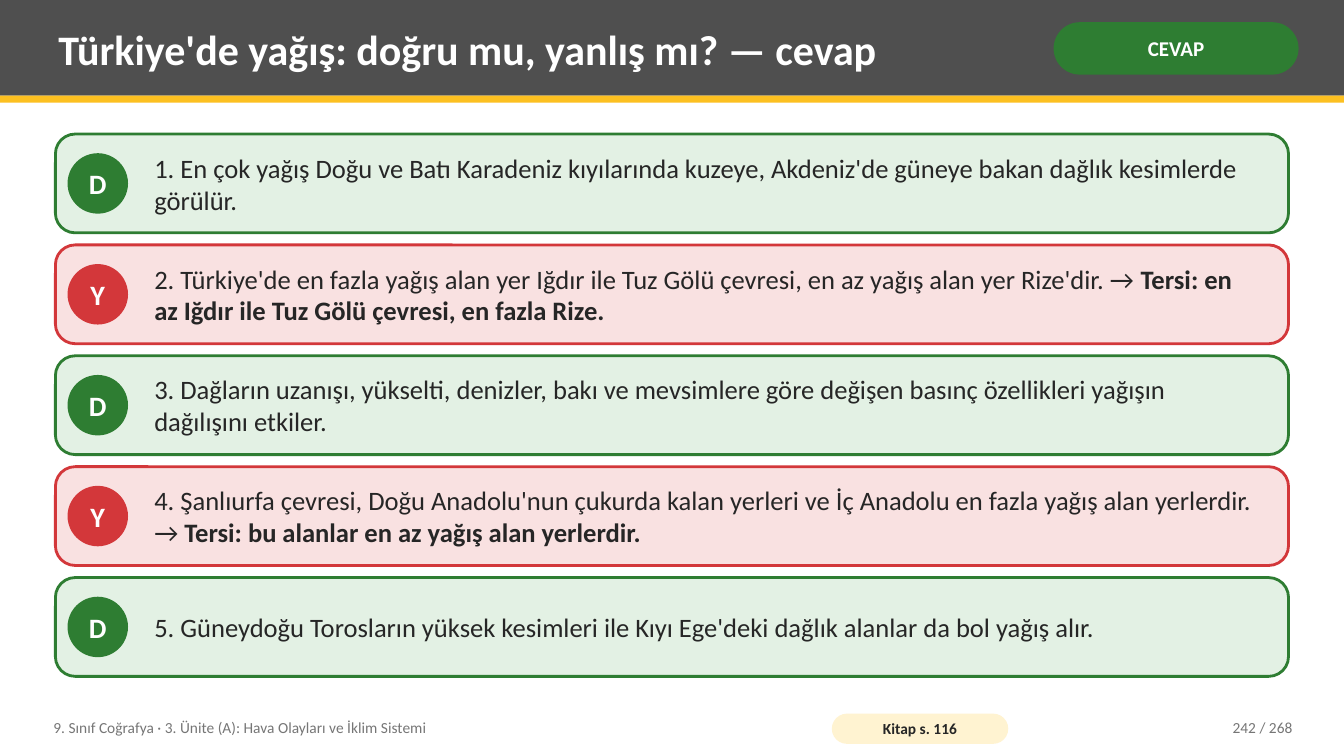
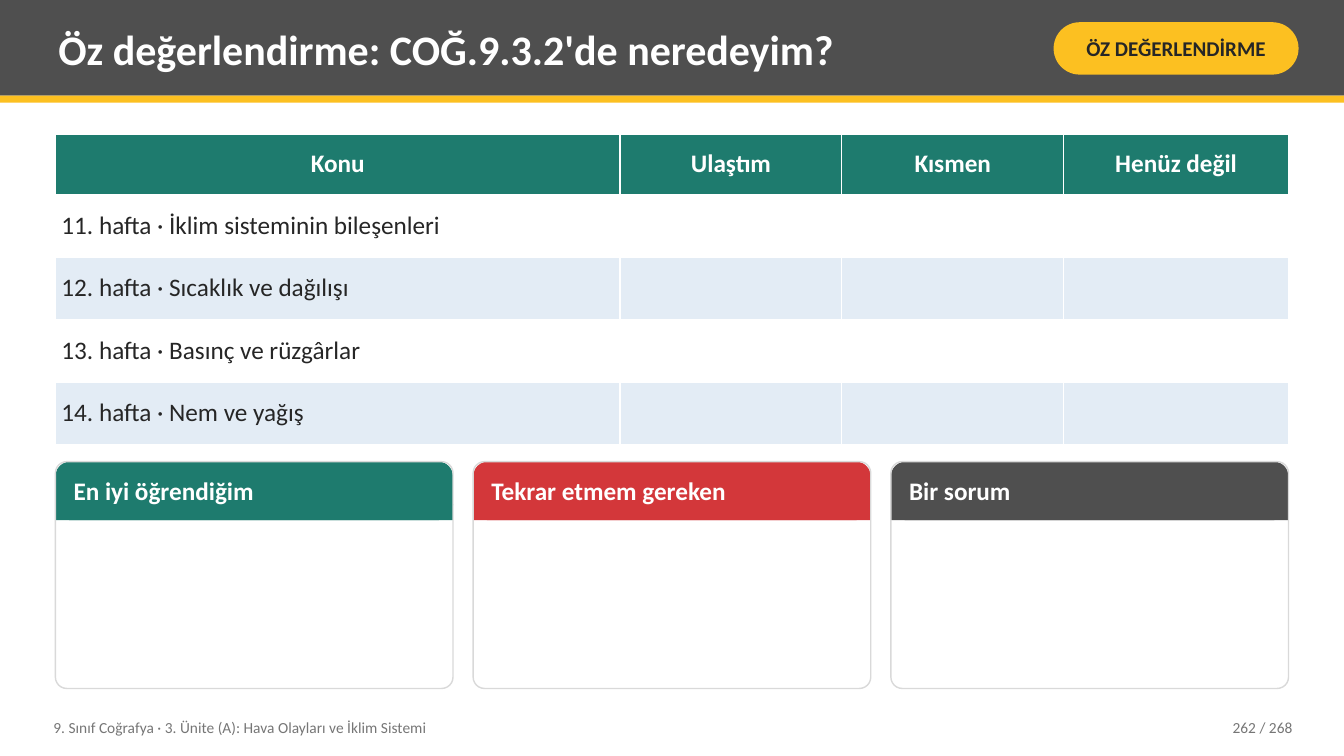
"""Build two geography slides: a true/false answer key and a self-assessment."""

import dataclasses
from typing import List, NamedTuple, Optional

import lxml.etree
import pptx
import pptx.dml.color
import pptx.enum.shapes
import pptx.enum.text
import pptx.oxml.ns
import pptx.presentation
import pptx.shapes.autoshape
import pptx.slide
import pptx.text.text
import pptx.util

PRESET = pptx.enum.shapes.MSO_SHAPE
ALIGN = pptx.enum.text.PP_ALIGN
ANCHOR = pptx.enum.text.MSO_ANCHOR
qn = pptx.oxml.ns.qn


@dataclasses.dataclass(frozen=True)
class Theme:
    """Colours, type sizes and font of the deck."""

    font: str = "Calibri"
    white: str = "FFFFFF"
    ink: str = "262626"
    slate: str = "4F4F4F"
    amber: str = "FCC021"
    cream: str = "FFF3D1"
    green: str = "2E7D32"
    pale_green: str = "E3F1E4"
    red: str = "D3373A"
    pale_red: str = "F9E1E1"
    teal: str = "1E7B6E"
    stripe: str = "E3ECF5"
    muted: str = "767676"
    outline: str = "D9D9D9"
    title: int = 30
    mark: int = 20
    body: int = 19
    label: int = 18
    badge: int = 15
    footer: int = 11


class Box(NamedTuple):
    """A rectangle in inches that can be divided into a grid."""

    x: float
    y: float
    w: float
    h: float

    def rows(self, count: int, gap: float) -> List["Box"]:
        """Split into equal rows."""
        h = (self.h - gap * (count - 1)) / count
        return [Box(self.x, self.y + i * (h + gap), self.w, h) for i in range(count)]

    def columns(self, count: int, gap: float) -> List["Box"]:
        """Split into equal columns."""
        w = (self.w - gap * (count - 1)) / count
        return [Box(self.x + i * (w + gap), self.y, w, self.h) for i in range(count)]

    def emu(self) -> List[int]:
        """Return the sides as lengths for a shape."""
        return [pptx.util.Inches(side) for side in self]


class Style(NamedTuple):
    """How a block of text is set."""

    size: int
    color: str
    bold: bool = False
    align: ALIGN = ALIGN.LEFT


class Insets(NamedTuple):
    """Text margins in inches."""

    left: float
    top: float
    right: float
    bottom: float


@dataclasses.dataclass(frozen=True)
class Header:
    """Title, badge and page of a slide."""

    title: str
    badge: str
    badge_fill: str
    badge_color: str
    page: int


@dataclasses.dataclass(frozen=True)
class Statement:
    """A statement, with a correction when it is false."""

    text: str
    correction: str = ""


@dataclasses.dataclass(frozen=True)
class Card:
    """A headed card to be filled in."""

    heading: str
    color: str


T = Theme()
WIDTH, HEIGHT = 13.33, 7.5
PAGES = 268
BAND = Box(0, 0, WIDTH, 0.95)
BODY = Box(0.55, 1.33, 12.23, 5.38)
CARDS = Box(BODY.x, 4.58, BODY.w, 2.25)
TEXT_INSETS = Insets(0.08, 0.04, 0.08, 0.04)
NO_INSETS = Insets(0, 0, 0, 0)
UNIT = "9. Sınıf Coğrafya · 3. Ünite (A): Hava Olayları ve İklim Sistemi"
COLUMN_WIDTHS = (5.6, 2.2, 2.2, 2.23)
ROW_HEIGHTS = (0.6, 0.62, 0.62, 0.62, 0.62)

ANSWERS = Header("Türkiye'de yağış: doğru mu, yanlış mı? — cevap", "CEVAP", T.green, T.white, 242)
STATEMENTS = (
    Statement("1. En çok yağış Doğu ve Batı Karadeniz kıyılarında kuzeye, "
              "Akdeniz'de güneye bakan dağlık kesimlerde görülür."),
    Statement("2. Türkiye'de en fazla yağış alan yer Iğdır ile Tuz Gölü çevresi, "
              "en az yağış alan yer Rize'dir.",
              "Tersi: en az Iğdır ile Tuz Gölü çevresi, en fazla Rize."),
    Statement("3. Dağların uzanışı, yükselti, denizler, bakı ve mevsimlere göre "
              "değişen basınç özellikleri yağışın dağılışını etkiler."),
    Statement("4. Şanlıurfa çevresi, Doğu Anadolu'nun çukurda kalan yerleri ve "
              "İç Anadolu en fazla yağış alan yerlerdir.",
              "Tersi: bu alanlar en az yağış alan yerlerdir."),
    Statement("5. Güneydoğu Torosların yüksek kesimleri ile Kıyı Ege'deki "
              "dağlık alanlar da bol yağış alır."),
)
ASSESSMENT = Header("Öz değerlendirme: COĞ.9.3.2'de neredeyim?", "ÖZ DEĞERLENDİRME",
                    T.amber, T.ink, 262)
LEVELS = ("Konu", "Ulaştım", "Kısmen", "Henüz değil")
TOPICS = (
    "11. hafta · İklim sisteminin bileşenleri",
    "12. hafta · Sıcaklık ve dağılışı",
    "13. hafta · Basınç ve rüzgârlar",
    "14. hafta · Nem ve yağış",
)
PROMPTS = (
    Card("En iyi öğrendiğim", T.teal),
    Card("Tekrar etmem gereken", T.red),
    Card("Bir sorum", T.slate),
)


def rgb(color: str) -> pptx.dml.color.RGBColor:
    """Turn a hex string into a colour."""
    return pptx.dml.color.RGBColor.from_string(color)


def style_paragraph(p: pptx.text.text._Paragraph, style: Style) -> None:
    """Apply font, colour and alignment to a paragraph."""
    p.alignment = style.align
    p.font.name = T.font
    p.font.size = pptx.util.Pt(style.size)
    p.font.bold = style.bold
    p.font.color.rgb = rgb(style.color)


def write(tf: pptx.text.text.TextFrame, text: str, style: Style,
          insets: Insets = TEXT_INSETS, wrap: bool = True) -> None:
    """Put one vertically centred paragraph into a text frame."""
    tf.word_wrap = wrap
    tf.auto_size = pptx.enum.text.MSO_AUTO_SIZE.NONE
    tf.vertical_anchor = ANCHOR.MIDDLE
    tf.margin_left, tf.margin_top, tf.margin_right, tf.margin_bottom = map(
        pptx.util.Inches, insets)
    p = tf.paragraphs[0]
    p.add_run().text = text
    style_paragraph(p, style)


def add_text(s: pptx.slide.Slide, box: Box, text: str, style: Style) -> pptx.text.text.TextFrame:
    """Add a text box and return its text frame."""
    tf = s.shapes.add_textbox(*box.emu()).text_frame
    write(tf, text, style)
    return tf


def add_block(s: pptx.slide.Slide, preset: PRESET, box: Box, fill: Optional[str] = None,
              line: Optional[str] = None, line_width: float = 1,
              radius: Optional[float] = None) -> pptx.shapes.autoshape.Shape:
    """Add a flat preset shape."""
    sp = s.shapes.add_shape(preset, *box.emu())
    sp.shadow.inherit = False
    if radius is not None:
        sp.adjustments[0] = radius
    if fill:
        sp.fill.solid()
        sp.fill.fore_color.rgb = rgb(fill)
    else:
        sp.fill.background()
    if line:
        sp.line.color.rgb = rgb(line)
        sp.line.width = pptx.util.Pt(line_width)
    else:
        sp.line.fill.background()
    return sp


def add_pill(s: pptx.slide.Slide, box: Box, fill: str, text: str, style: Style,
             insets: Insets) -> None:
    """Add a label with fully rounded ends."""
    sp = add_block(s, PRESET.ROUNDED_RECTANGLE, box, fill, radius=0.5)
    write(sp.text_frame, text, style, insets)


def add_slide(prs: pptx.presentation.Presentation, header: Header) -> pptx.slide.Slide:
    """Add a slide with band, title, badge and footer."""
    s = prs.slides.add_slide(prs.slide_layouts.get_by_name("Title Only"))
    add_block(s, PRESET.RECTANGLE, BAND, T.slate)
    add_block(s, PRESET.RECTANGLE, Box(0, BAND.h, WIDTH, 0.07), T.amber)
    title = s.shapes.title
    title.left, title.top, title.width, title.height = Box(0.5, 0.07, 9.75, 0.82).emu()
    write(title.text_frame, header.title, Style(T.title, T.white, True))
    title.element.getparent().append(title.element)
    add_pill(s, Box(10.45, 0.22, 2.43, 0.52), header.badge_fill, header.badge,
             Style(T.badge, header.badge_color, True, ALIGN.CENTER), Insets(0.05, 0.02, 0.05, 0.02))
    add_text(s, Box(0.45, 7.04, 7.6, 0.36), UNIT, Style(T.footer, T.muted))
    add_text(s, Box(11.3, 7.04, 1.6, 0.36), f"{header.page} / {PAGES}",
             Style(T.footer, T.muted, align=ALIGN.RIGHT))
    return s


def add_statement(s: pptx.slide.Slide, box: Box, statement: Statement) -> None:
    """Add an answer row with its mark and correction."""
    wrong = bool(statement.correction)
    mark, color, tint = ("Y", T.red, T.pale_red) if wrong else ("D", T.green, T.pale_green)
    add_block(s, PRESET.ROUNDED_RECTANGLE, box, tint, color, 2, 0.2)
    dot = add_block(s, PRESET.OVAL, Box(box.x + 0.12, box.y + (box.h - 0.6) / 2, 0.6, 0.6), color)
    write(dot.text_frame, mark, Style(T.mark, T.white, True, ALIGN.CENTER), NO_INSETS, False)
    tf = add_text(s, Box(box.x + 0.9, box.y, box.w - 1.05, box.h), statement.text,
                  Style(T.body, T.ink))
    if wrong:
        tf.margin_right = pptx.util.Inches(2 * TEXT_INSETS.right)
        p = tf.paragraphs[0]
        p.add_run().text = " → "
        r = p.add_run()
        r.text = statement.correction
        r.font.bold = True


def add_borders(tc_pr: lxml.etree._Element, color: str) -> None:
    """Give a table cell thin borders on all sides."""
    for i, side in enumerate(("a:lnL", "a:lnR", "a:lnT", "a:lnB")):
        ln = tc_pr.makeelement(qn(side), {"w": str(int(pptx.util.Pt(0.96)))})
        fill = lxml.etree.SubElement(ln, qn("a:solidFill"))
        lxml.etree.SubElement(fill, qn("a:srgbClr"), {"val": color})
        tc_pr.insert(i, ln)


def add_checklist(s: pptx.slide.Slide) -> None:
    """Add the table of topics and levels."""
    box = Box(BODY.x, BODY.y, BODY.w, sum(ROW_HEIGHTS))
    frame = s.shapes.add_table(len(ROW_HEIGHTS), len(COLUMN_WIDTHS), *box.emu())
    table = frame.table
    for column, width in zip(table.columns, COLUMN_WIDTHS):
        column.width = pptx.util.Inches(width)
    for row, height in zip(table.rows, ROW_HEIGHTS):
        row.height = pptx.util.Inches(height)
    rows = [LEVELS, *((topic, "", "", "") for topic in TOPICS)]
    for i, texts in enumerate(rows):
        fill = T.teal if i == 0 else (T.white, T.stripe)[(i - 1) % 2]
        style = Style(T.label, T.white, True, ALIGN.CENTER) if i == 0 else Style(T.label, T.ink)
        for cell, text in zip(table.rows[i].cells, texts):
            cell.fill.solid()
            cell.fill.fore_color.rgb = rgb(fill)
            cell.vertical_anchor = ANCHOR.MIDDLE
            cell.margin_left = cell.margin_right = pptx.util.Inches(0.06)
            cell.margin_top = cell.margin_bottom = pptx.util.Inches(0.05)
            cell.text = text
            style_paragraph(cell.text_frame.paragraphs[0], style)
    for tc_pr in frame.element.iter(qn("a:tcPr")):
        add_borders(tc_pr, T.white)


def add_card(s: pptx.slide.Slide, box: Box, card: Card) -> None:
    """Add a rounded card with a coloured heading."""
    head = Box(box.x, box.y, box.w, 0.58)
    add_block(s, PRESET.ROUNDED_RECTANGLE, box, T.white, radius=0.05)
    add_block(s, PRESET.ROUNDED_RECTANGLE, head, card.color, radius=0.25)
    add_block(s, PRESET.RECTANGLE, head.rows(2, 0)[1], card.color)
    add_text(s, Box(head.x + 0.1, head.y, head.w - 0.2, head.h), card.heading,
             Style(T.label, T.white, True))
    add_block(s, PRESET.ROUNDED_RECTANGLE, box, line=T.outline, radius=0.05)


def main() -> None:
    """Build and save the deck."""
    prs = pptx.Presentation()
    prs.slide_width, prs.slide_height = pptx.util.Inches(WIDTH), pptx.util.Inches(HEIGHT)
    s = add_slide(prs, ANSWERS)
    for box, statement in zip(BODY.rows(len(STATEMENTS), 0.12), STATEMENTS):
        add_statement(s, box, statement)
    add_pill(s, Box(8.25, 7.08, 1.75, 0.3), T.cream, "Kitap s. 116",
             Style(T.footer, T.ink, True, ALIGN.CENTER), Insets(0.04, 0, 0.04, 0))
    s = add_slide(prs, ASSESSMENT)
    add_checklist(s)
    for box, card in zip(CARDS.columns(len(PROMPTS), 0.2), PROMPTS):
        add_card(s, box, card)
    prs.save("out.pptx")


if __name__ == "__main__":
    main()
